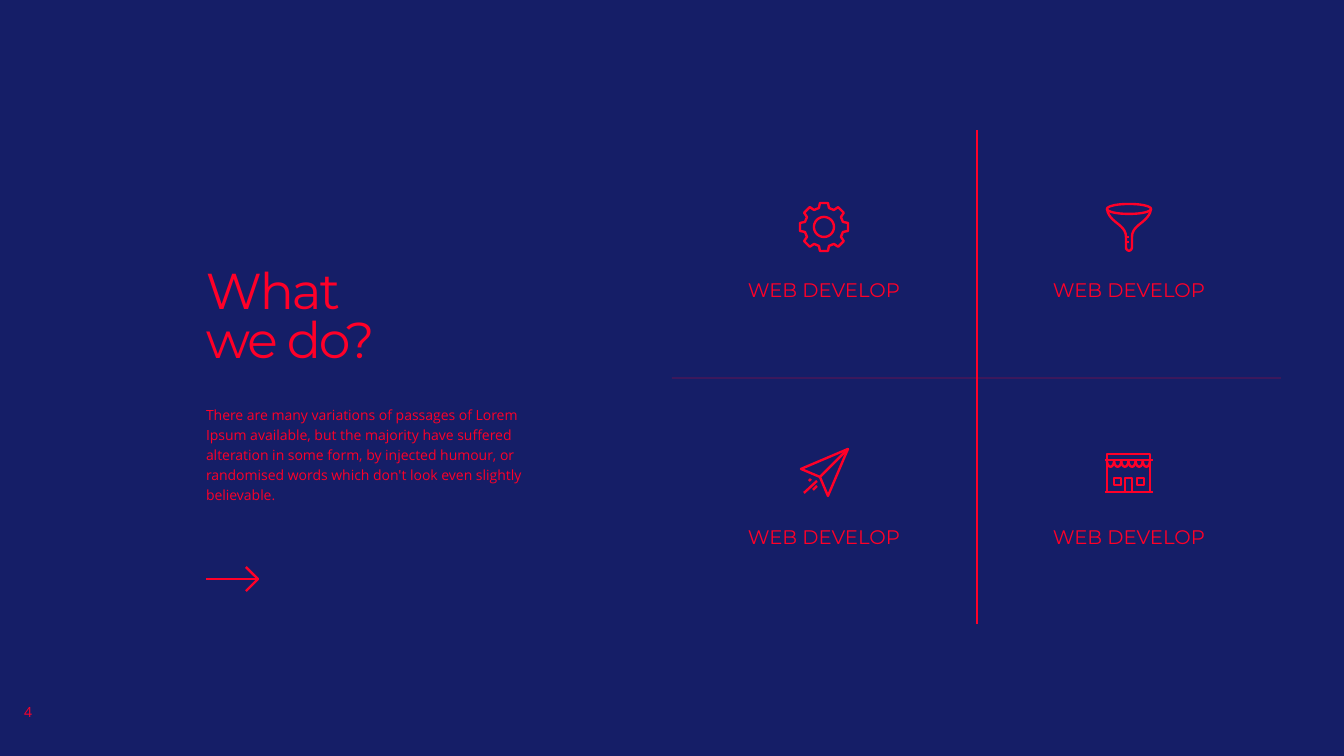
"""Build the "What we do?" slide with four services around a cross."""
from dataclasses import dataclass, field
from math import cos, pi, sin

from lxml import etree
from pptx import Presentation
from pptx.dml.color import RGBColor
from pptx.enum.shapes import MSO_CONNECTOR
from pptx.enum.text import MSO_ANCHOR, MSO_AUTO_SIZE, PP_ALIGN
from pptx.oxml.ns import qn
from pptx.slide import Slide
from pptx.util import Emu, Pt

STRAIGHT = MSO_CONNECTOR.STRAIGHT
TOP, MIDDLE = MSO_ANCHOR.TOP, MSO_ANCHOR.MIDDLE
FIXED, GROW = MSO_AUTO_SIZE.NONE, MSO_AUTO_SIZE.SHAPE_TO_FIT_TEXT
LEFT, CENTER = PP_ALIGN.LEFT, PP_ALIGN.CENTER

EMU_PER_PX = 12192000 / 1344
FINE = 100
NAVY, RED = "151E67", "FF0028"
HEADING_FONT, BODY_FONT = "Montserrat", "Open Sans"
ICON_STROKE = 1.7

Point = tuple[float, float]


@dataclass
class Stroke:
    points: list[Point]
    closed: bool = False


@dataclass
class Label:
    lines: list[str]
    box: tuple[int, int, int, int]
    font: str
    size: int
    align: PP_ALIGN = LEFT
    line_spacing: float = 1.0
    tracking: int = 0
    frame: dict = field(default_factory=dict)


@dataclass
class Divider:
    start: tuple[int, int]
    end: tuple[int, int]
    opacity: int = 100


def px(length: float) -> Emu:
    return Emu(round(length * EMU_PER_PX))


def rgb(color: str) -> RGBColor:
    return RGBColor.from_string(color)


def ellipse(x: float, y: float, rx: float, ry: float) -> Stroke:
    angles = [2 * pi * step / 48 for step in range(48)]
    return Stroke([(x + rx * cos(a), y + ry * sin(a)) for a in angles], True)


def curve(a: Point, b: Point, c: Point, d: Point) -> list[Point]:
    points = []
    for step in range(13):
        t = step / 12
        weights = ((1 - t) ** 3, 3 * t * (1 - t) ** 2, 3 * t * t * (1 - t), t ** 3)
        points.append(tuple(sum(w * p[axis] for w, p in zip(weights, (a, b, c, d)))
                            for axis in (0, 1)))
    return points


def rectangle(left: int, top: int, right: int, bottom: int) -> Stroke:
    return Stroke([(left, top), (right, top), (right, bottom), (left, bottom)], True)


def gear(x: int, y: int) -> list[Stroke]:
    tooth = [(-5, -19), (-4, -24), (4, -24), (5, -19)]
    turns = [pi / 4 * step for step in range(8)]
    rim = [(x + u * cos(a) - v * sin(a), y + u * sin(a) + v * cos(a))
           for a in turns for u, v in tooth]
    return [Stroke(rim, True), ellipse(x, y, 10, 10)]


def funnel(x: float, y: int) -> list[Stroke]:
    left_wall = curve((-22, -18), (-20, -4), (-3, -3), (-3, 10))
    tip = curve((-3, 20), (-3, 25), (3, 25), (3, 20))
    right_wall = [(-u, v) for u, v in reversed(left_wall)]
    body = [(x + u, y + v) for u, v in left_wall + tip + right_wall]
    ticks = [Stroke([(x - 3, y + v), (x, y + v)]) for v in (10, 15)]
    return [ellipse(x, y - 18, 22, 5), Stroke(body), *ticks]


def paper_plane() -> list[Stroke]:
    nose, fold = (848, 449), (820, 477)
    trails = [((817, 486), (813, 490)), ((817, 481), (804, 493)), ((811, 479), (809, 481))]
    return [Stroke([(801, 469), nose, (828, 496), fold], True), Stroke([fold, nose]),
            *(Stroke(list(trail)) for trail in trails)]


def shop() -> list[Stroke]:
    left, right, roof, awning, ground = 1107, 1150, 454, 460, 492
    pitch = (right - left) / 6
    edges = [left + pitch * step for step in range(6)]
    scallops = [Stroke(curve((x, awning), (x, awning + 9), (x + pitch, awning + 9),
                             (x + pitch, awning))) for x in edges]
    ledges = [Stroke([(left - 2, y), (right + 3, y)]) for y in (awning, ground)]
    windows = [rectangle(x, 478, x + 7, 485) for x in (1114, 1137)]
    return [rectangle(left, roof, right, ground), *ledges, *scallops, *windows,
            rectangle(1125, 478, 1132, ground)]


def arrow() -> list[Stroke]:
    tip = (258, 579)
    return [Stroke([(206, 579), tip]), Stroke([(246, 567), tip, (246, 591)])]


def draw_icon(slide: Slide, strokes: list[Stroke]) -> None:
    builder = None
    for stroke in strokes:
        (x, y), *rest = [(u * FINE, v * FINE) for u, v in stroke.points]
        if builder is None:
            builder = slide.shapes.build_freeform(x, y, EMU_PER_PX / FINE)
        else:
            builder.move_to(x, y)
        builder.add_line_segments(rest, close=stroke.closed)
    icon = builder.convert_to_shape()
    icon.shadow.inherit = False
    icon.fill.background()
    icon.line.color.rgb = rgb(RED)
    icon.line.width = Pt(ICON_STROKE)


def draw_divider(slide: Slide, divider: Divider) -> None:
    ends = [px(value) for value in divider.start + divider.end]
    line = slide.shapes.add_connector(STRAIGHT, *ends)
    line.line.color.rgb = rgb(RED)
    line.line.width = Pt(1)
    properties = line._element.spPr
    if divider.opacity < 100:
        color = next(properties.iter(qn("a:srgbClr")))
        etree.SubElement(color, qn("a:alpha")).set("val", str(divider.opacity * 1000))
    etree.SubElement(properties, qn("a:effectLst"))


def draw_label(slide: Slide, label: Label) -> None:
    frame = slide.shapes.add_textbox(*map(px, label.box)).text_frame
    for name, value in {"word_wrap": True, "auto_size": FIXED, **label.frame}.items():
        setattr(frame, name, value)
    paragraph = frame.paragraphs[0]
    paragraph.alignment = label.align
    paragraph.line_spacing = label.line_spacing
    style = {"name": label.font, "size": Pt(label.size)}
    for index, line in enumerate(label.lines):
        if index:
            paragraph.add_line_break()
        run = paragraph.add_run()
        run.text = line
        for name, value in style.items():
            setattr(run.font, name, value)
        run.font.color.rgb = rgb(RED)
        if label.tracking:
            run._r.get_or_add_rPr().set("spc", str(label.tracking))


def main() -> None:
    deck = Presentation()
    deck.slide_width, deck.slide_height = px(1344), px(756)
    slide = deck.slides.add_slide(deck.slide_layouts[6])
    slide.background.fill.solid()
    slide.background.fill.fore_color.rgb = rgb(NAVY)

    flush = {"margin_left": 0, "margin_right": 0, "vertical_anchor": TOP}
    snug = {**flush, "margin_top": px(5), "margin_bottom": px(5), "auto_size": GROW}
    labels = [
        Label(["What", "we do?"], (206, 250, 466, 178), HEADING_FONT, 36,
              line_spacing=0.8, tracking=-150,
              frame={**flush, "margin_top": px(21), "margin_bottom": 0}),
        Label(["There are many variations of passages of Lorem Ipsum available, but the "
               "majority have suffered alteration in some form, by injected humour, or "
               "randomised words which don't look even slightly believable."],
              (206, 398, 353, 111), BODY_FONT, 10, line_spacing=1.2, frame=snug),
        Label(["4"], (0, 699, 56, 25), BODY_FONT, 10, CENTER,
              frame={"vertical_anchor": MIDDLE}),
    ]
    labels += [Label(["WEB DEVELOP"], (x, y, 304, 28), HEADING_FONT, 14, CENTER, 0.7,
                     frame=snug) for y in (279, 526) for x in (672, 977)]

    for divider in (Divider((977, 130), (977, 624)), Divider((672, 378), (1281, 378), 25)):
        draw_divider(slide, divider)
    for icon in (gear(824, 227), funnel(1129, 227), paper_plane(), shop(), arrow()):
        draw_icon(slide, icon)
    for label in labels:
        draw_label(slide, label)
    deck.save("out.pptx")


if __name__ == "__main__":
    main()
